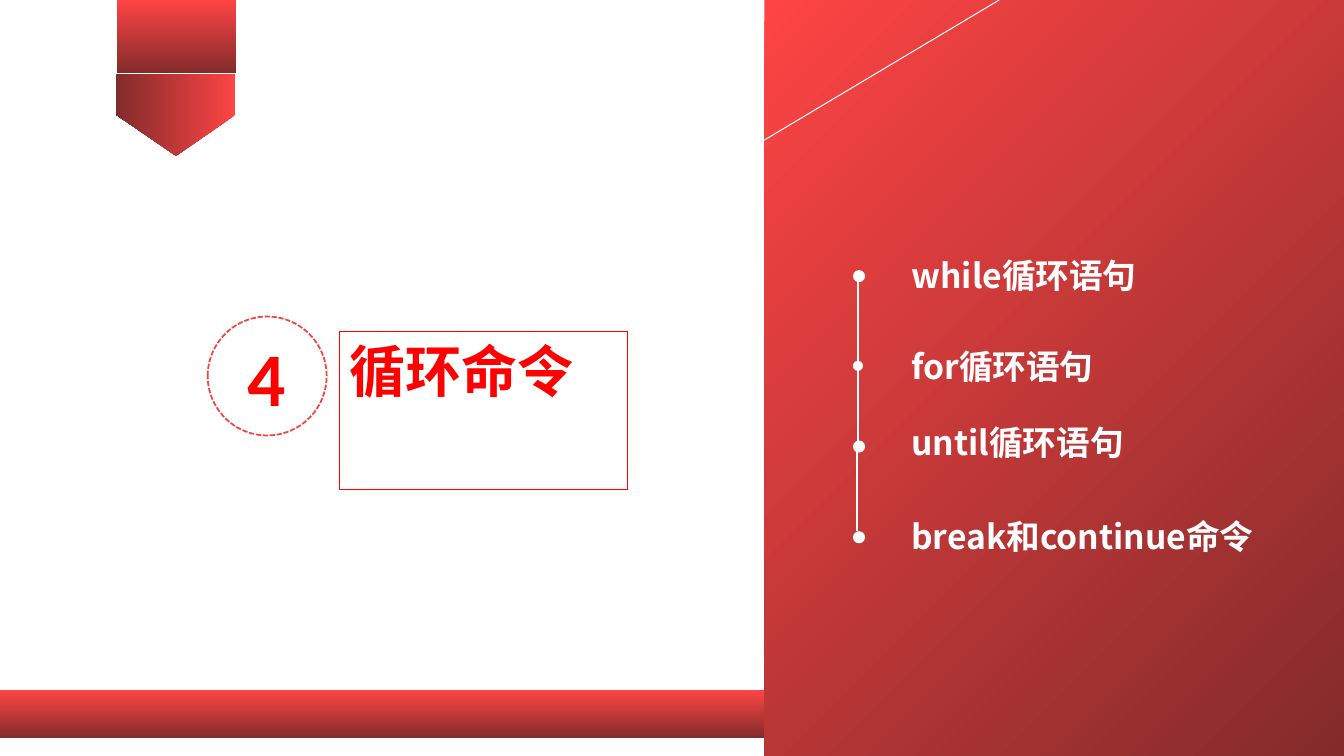
from lxml import etree
from pptx import Presentation
from pptx.dml.color import RGBColor
from pptx.enum import dml, shapes, text
from pptx.oxml import ns
from pptx.util import Inches, Pt

WHITE = RGBColor(0xFF, 0xFF, 0xFF)
RED = RGBColor(0xFF, 0x00, 0x00)
RING_RED = RGBColor(0xF6, 0x42, 0x42)
BRIGHT = RGBColor(0xFE, 0x44, 0x44)
DARK = RGBColor(0x83, 0x2B, 0x2B)
CJK = "Noto Sans CJK SC"

prs = Presentation()
prs.slide_width, prs.slide_height = Inches(13.33), Inches(7.5)
slide = prs.slides.add_slide(prs.slide_layouts[5])


def add_filled(kind, left, top, width, height, color=None, angle=270):
    """Add a borderless shape with a plain colour, or the red gradient."""
    shape = slide.shapes.add_shape(
        kind, Inches(left), Inches(top), Inches(width), Inches(height))
    shape.shadow.inherit = False
    shape.line.fill.background()
    if color is not None:
        shape.fill.solid()
        shape.fill.fore_color.rgb = color
    else:
        shape.fill.gradient()
        shape.fill.gradient_angle = angle
        for stop, position, shade in zip(
                shape.fill.gradient_stops, (0, 1), (BRIGHT, DARK)):
            stop.position = position
            stop.color.rgb = shade
    return shape


def add_words(paragraph, words, size, color, font):
    run = paragraph.add_run()
    run.text = words
    run.font.size, run.font.bold, run.font.name = Pt(size), True, font
    run.font.color.rgb = color
    east_asian = etree.SubElement(run.font._element, ns.qn("a:ea"))
    east_asian.set("typeface", CJK)


# Ribbon, bottom strip and right panel
ribbon_tip = add_filled(shapes.MSO_SHAPE.PENTAGON, 1.34, 0.55, 0.81, 1.18)
ribbon_tip.rotation = 90
add_filled(shapes.MSO_SHAPE.RECTANGLE, 1.16, 0, 1.18, 0.73)
add_filled(shapes.MSO_SHAPE.RECTANGLE, 0, 6.85, 7.58, 0.47)
add_filled(shapes.MSO_SHAPE.RECTANGLE, 7.58, 0, 5.75, 7.5, angle=315)

# Chapter number in a dashed ring
ring = add_filled(shapes.MSO_SHAPE.OVAL, 2.06, 3.14, 1.18, 1.18, WHITE)
ring.line.color.rgb = RING_RED
ring.line.width = Pt(1.25)
ring.line.dash_style = dml.MSO_LINE.SQUARE_DOT
ring.text_frame.vertical_anchor = text.MSO_ANCHOR.MIDDLE
number = ring.text_frame.paragraphs[0]
number.alignment = text.PP_ALIGN.CENTER
add_words(number, "4", 54, RED, "Calibri")

# Chapter title
title = slide.shapes.title
title.left, title.top = Inches(3.37), Inches(3.29)
title.width, title.height = Inches(2.85), Inches(0.77)
title.line.color.rgb = RED
title.line.width = Pt(0.75)
title.text_frame.word_wrap = True
title.text_frame.auto_size = text.MSO_AUTO_SIZE.SHAPE_TO_FIT_TEXT
title.text_frame.vertical_anchor = text.MSO_ANCHOR.TOP
heading = title.text_frame.paragraphs[0]
heading.alignment = text.PP_ALIGN.LEFT
add_words(heading, "循环命令", 40, RED, CJK)

# Topics: dot size, dot top, label top, label width
topics = [
    ("while循环语句", 0.12, 2.68, 2.48, 2.74),
    ("for循环语句", 0.1, 3.58, 3.38, 4.08),
    ("until循环语句", 0.12, 4.37, 4.14, 3.85),
    ("break和continue命令", 0.12, 5.27, 5.07, 3.85),
]
for topic, dot, dot_top, label_top, label_width in topics:
    add_filled(shapes.MSO_SHAPE.OVAL, 8.46, dot_top, dot, dot, WHITE)
    label = slide.shapes.add_textbox(
        Inches(8.94), Inches(label_top), Inches(label_width), Inches(0.5))
    label.text_frame.word_wrap = True
    label.text_frame.auto_size = text.MSO_AUTO_SIZE.SHAPE_TO_FIT_TEXT
    add_words(label.text_frame.paragraphs[0], topic, 24, WHITE, CJK)

# Slanted corner line, then the links between dots
lines = [(9.91, 0, 7.58, 1.39, 0.75)]
for link_x, link_top in ((8.51, 2.79), (8.51, 3.66), (8.5, 4.48)):
    lines.append((link_x, link_top, link_x, link_top + 0.79, 1))
for x1, y1, x2, y2, weight in lines:
    line = slide.shapes.add_connector(
        shapes.MSO_CONNECTOR.STRAIGHT,
        Inches(x1), Inches(y1), Inches(x2), Inches(y2))
    line.line.color.rgb = WHITE
    line.line.width = Pt(weight)
    etree.SubElement(line._element.spPr, ns.qn("a:effectLst"))

prs.save("out.pptx")
